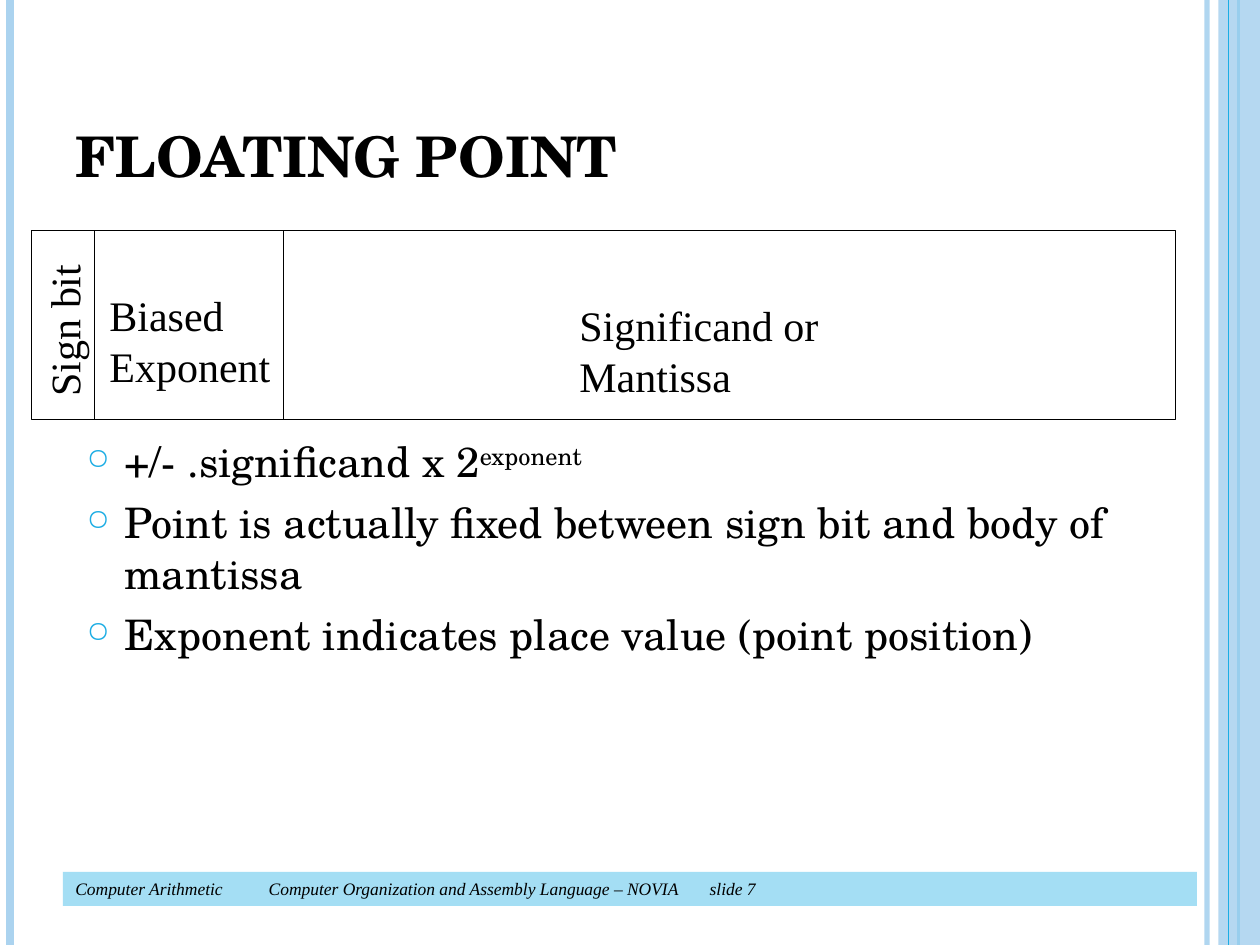
from dataclasses import dataclass

from lxml import etree
from pptx import Presentation
from pptx.dml.color import RGBColor
from pptx.enum import shapes, text
from pptx.oxml import ns
from pptx.util import Inches, Pt


@dataclass(frozen=True)
class Theme:
    ink: str = "000000"
    accent: str = "1CADE4"
    pale: str = "ABD3EF"
    footer: str = "A4DEF4"
    heading_font: str = "TeX Gyre Schola"
    label_font: str = "Times New Roman"
    title_size: int = 32
    body_size: int = 24
    footer_size: int = 10


THEME = Theme()


def add_xml(parent, tag, **attributes):
    return etree.SubElement(parent, ns.qn(tag), attributes)


def set_opacity(shape, percent):
    for color in shape._element.spPr.iter(ns.qn("a:srgbClr")):
        add_xml(color, "a:alpha", val=str(percent * 1000))


def add_rectangle(slide, box, fill=None, line=None):
    shape = slide.shapes.add_shape(shapes.MSO_SHAPE.RECTANGLE, *map(Inches, box))
    shape.shadow.inherit = False
    if fill:
        shape.fill.solid()
        shape.fill.fore_color.rgb = RGBColor.from_string(fill)
    else:
        shape.fill.background()
    if line:
        shape.line.color.rgb = RGBColor.from_string(line)
        shape.line.width = Pt(0.75)
    else:
        shape.line.fill.background()
    return shape


def add_vertical_line(slide, x, height, color, width, opacity=100):
    line = slide.shapes.add_connector(
        shapes.MSO_CONNECTOR.STRAIGHT, Inches(x), 0, Inches(x), Inches(height))
    line.line.color.rgb = RGBColor.from_string(color)
    line.line.width = Pt(width)
    add_xml(line._element.spPr, "a:effectLst")
    if opacity < 100:
        set_opacity(line, opacity)


def set_font(paragraph, name, size, bold=False, italic=False):
    font = paragraph.font
    font.name, font.size = name, Pt(size)
    font.bold, font.italic = bold, italic
    font.color.rgb = RGBColor.from_string(THEME.ink)


def add_text_box(slide, box, wrap=True):
    shape = slide.shapes.add_textbox(*map(Inches, box))
    shape.text_frame.word_wrap = wrap
    return shape


def add_side_bands(slide, height):
    add_vertical_line(slide, 9.58, height, THEME.pale, 3, 93)
    add_vertical_line(slide, 0.08, height, THEME.pale, 4.5)
    add_vertical_line(slide, 9.83, height, THEME.accent, 1.5)
    band = add_rectangle(slide, (9.67, 0, 0.33, height), THEME.pale)
    set_opacity(band, 87)
    add_vertical_line(slide, 9.75, height, THEME.accent, 0.75)


def add_footer(slide, box, parts):
    frame = add_rectangle(slide, box, THEME.footer).text_frame
    frame.vertical_anchor = text.MSO_ANCHOR.MIDDLE
    paragraph = frame.paragraphs[0]
    paragraph.text = "\t ".join(parts)
    paragraph.alignment = text.PP_ALIGN.LEFT
    set_font(paragraph, THEME.label_font, THEME.footer_size, italic=True)


def add_title(slide, box, title):
    frame = add_text_box(slide, box).text_frame
    frame.vertical_anchor = text.MSO_ANCHOR.BOTTOM
    frame.text = title
    set_font(frame.paragraphs[0], THEME.heading_font, THEME.title_size, bold=True)


def add_bullets(slide, box, items):
    """Each item is a pair: the text and its superscript ending."""
    frame = add_text_box(slide, box).text_frame
    for index, (body, superscript) in enumerate(items):
        paragraph = frame.add_paragraph() if index else frame.paragraphs[0]
        paragraph.add_run().text = body
        if superscript:
            run = paragraph.add_run()
            run.text = superscript
            run.font._element.set("baseline", "30000")
        paragraph.space_before = Pt(6)
        properties = paragraph._p.get_or_add_pPr()
        properties.set("marL", str(Inches(0.3)))
        properties.set("indent", str(-Inches(0.3)))
        color = add_xml(properties, "a:buClr")
        add_xml(color, "a:srgbClr", val=THEME.accent)
        add_xml(properties, "a:buSzPct", val="70000")
        add_xml(properties, "a:buChar", char="○")
        set_font(paragraph, THEME.heading_font, THEME.body_size)


def add_label(slide, box, label, wrap=False, rotation=0):
    shape = add_text_box(slide, box, wrap)
    shape.rotation = rotation
    shape.text_frame.text = label
    for paragraph in shape.text_frame.paragraphs:
        set_font(paragraph, THEME.label_font, THEME.body_size)


def add_number_format(slide, left, top, height, field_widths):
    """Draw the sign, exponent and significand fields side by side."""
    x = left
    for width in field_widths:
        add_rectangle(slide, (x, top, width, height), line=THEME.ink)
        x += width
    add_label(slide, (left - 0.37, top + 0.54, 1.25, 0.5), "Sign bit", rotation=270)
    add_label(slide, (left + 0.52, top + 0.42, 1.48, 0.9), "Biased\nExponent")
    add_label(slide, (left + 4.25, top + 0.5, 3.38, 0.5),
              "Significand or\vMantissa", wrap=True)


def main():
    presentation = Presentation()
    presentation.slide_width, presentation.slide_height = Inches(10), Inches(7.5)
    slide = presentation.slides.add_slide(presentation.slide_layouts[6])
    add_side_bands(slide, 7.5)
    add_footer(slide, (0.5, 6.92, 9, 0.27), (
        "Computer Arithmetic",
        "Computer Organization and Assembly Language – NOVIA",
        "slide 7"))
    add_title(slide, (0.5, 0.3, 8.17, 1.25), "FLOATING POINT")
    add_bullets(slide, (0.59, 3.41, 8.43, 2.86), (
        ("+/- .significand x 2", "exponent"),
        ("Point is actually fixed between sign bit and body of mantissa", ""),
        ("Exponent indicates place value (point position)", "")))
    add_number_format(slide, 0.25, 1.83, 1.5, (0.5, 1.5, 7.08))
    presentation.save("out.pptx")


if __name__ == "__main__":
    main()
